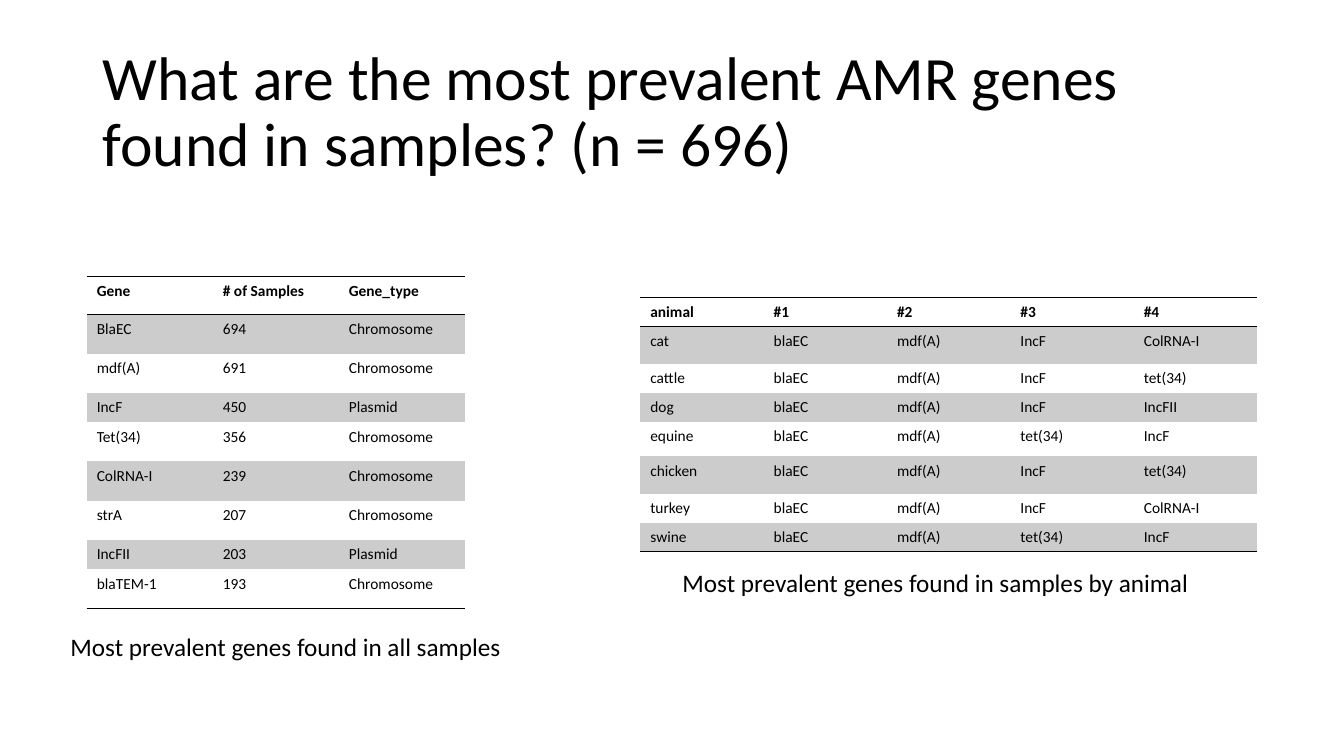
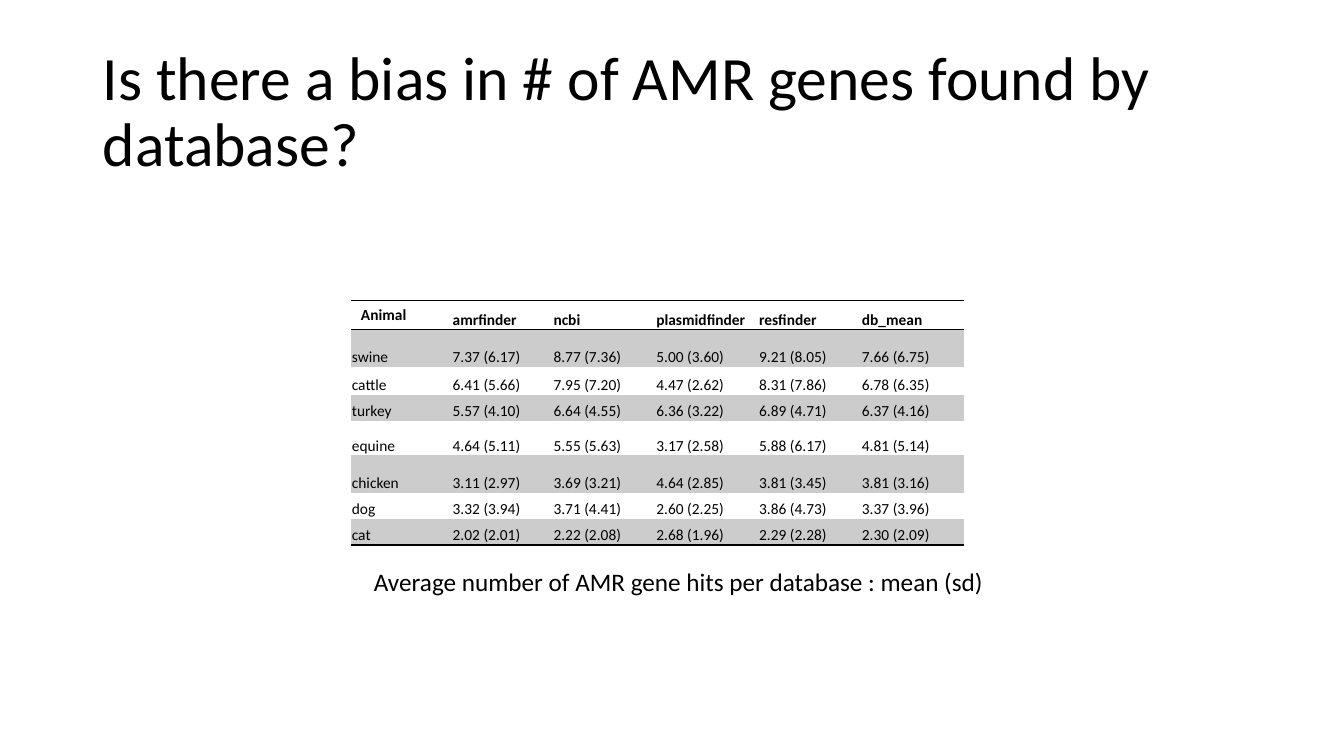
from lxml import etree
from pptx import Presentation, oxml
from pptx.dml import color
from pptx.enum import text
from pptx.util import Inches, Pt

# Shared look
FONT = "Calibri"
HUES = {"ink": "000000", "band": "CCCCCC"}
PLAIN = "{2D5ABB26-0587-4C30-8999-92F81FD0307C}"  # no style, no grid
TIGHT = {
    "margin_left": Inches(0.01),
    "margin_right": Inches(0.01),
    "margin_top": Inches(0.01),
    "margin_bottom": 0,
    "vertical_anchor": text.MSO_ANCHOR.BOTTOM,
}
LOW = [0.26, 0.37, 0.28, 0.26, 0.34, 0.37, 0.26, 0.26]

# Content: tables hold place, column widths, row heights and cells;
# captions hold text and place
PAGES = [
    {
        "title": "What are the most prevalent AMR genes found in samples? (n = 696)",
        "tables": [
            {
                "at": (0.86, 2.74),
                "cols": [1.25] * 3,
                "rows": [0.38, 0.39, 0.39, 0.28, 0.39, 0.39, 0.39, 0.28, 0.39],
                "tight": False,
                "cells": [
                    ["Gene", "# of Samples", "Gene_type"],
                    ["BlaEC", "694", "Chromosome"],
                    ["mdf(A)", "691", "Chromosome"],
                    ["IncF", "450", "Plasmid"],
                    ["Tet(34)", "356", "Chromosome"],
                    ["ColRNA-I", "239", "Chromosome"],
                    ["strA", "207", "Chromosome"],
                    ["IncFII", "203", "Plasmid"],
                    ["blaTEM-1", "193", "Chromosome"],
                ],
            },
            {
                "at": (6.35, 2.95),
                "cols": [1.224] * 5,
                "rows": LOW,
                "tight": False,
                "cells": [
                    ["animal", "#1", "#2", "#3", "#4"],
                    ["cat", "blaEC", "mdf(A)", "IncF", "ColRNA-I"],
                    ["cattle", "blaEC", "mdf(A)", "IncF", "tet(34)"],
                    ["dog", "blaEC", "mdf(A)", "IncF", "IncFII"],
                    ["equine", "blaEC", "mdf(A)", "tet(34)", "IncF"],
                    ["chicken", "blaEC", "mdf(A)", "IncF", "tet(34)"],
                    ["turkey", "blaEC", "mdf(A)", "IncF", "ColRNA-I"],
                    ["swine", "blaEC", "mdf(A)", "tet(34)", "IncF"],
                ],
            },
        ],
        "notes": [
            ("Most prevalent genes found in all samples", 0.6, 6.21, 4.52),
            ("Most prevalent genes found in samples by animal", 6.67, 5.58, 5.28),
        ],
    },
    {
        "title": "Is there a bias in # of AMR genes found by database?",
        "tables": [
            {
                "at": (3.48, 2.98),
                "cols": [1, 1] + [1.02] * 4,
                "rows": LOW,
                "tight": True,
                "cells": [
                    ["Animal", "amrfinder", "ncbi", "plasmidfinder", "resfinder", "db_mean"],
                    ["swine", "7.37 (6.17)", "8.77 (7.36)", "5.00 (3.60)", "9.21 (8.05)", "7.66 (6.75)"],
                    ["cattle", "6.41 (5.66)", "7.95 (7.20)", "4.47 (2.62)", "8.31 (7.86)", "6.78 (6.35)"],
                    ["turkey", "5.57 (4.10)", "6.64 (4.55)", "6.36 (3.22)", "6.89 (4.71)", "6.37 (4.16)"],
                    ["equine", "4.64 (5.11)", "5.55 (5.63)", "3.17 (2.58)", "5.88 (6.17)", "4.81 (5.14)"],
                    ["chicken", "3.11 (2.97)", "3.69 (3.21)", "4.64 (2.85)", "3.81 (3.45)", "3.81 (3.16)"],
                    ["dog", "3.32 (3.94)", "3.71 (4.41)", "2.60 (2.25)", "3.86 (4.73)", "3.37 (3.96)"],
                    ["cat", "2.02 (2.01)", "2.22 (2.08)", "2.68 (1.96)", "2.29 (2.28)", "2.30 (2.09)"],
                ],
            },
        ],
        "notes": [
            ("Average number of AMR gene hits per database : mean (sd)", 3.61, 5.57, 6.32),
        ],
    },
]


def write(frame, words, size, bold=False):
    frame.text = words
    para = frame.paragraphs[0]
    look = {"name": FONT, "size": Pt(size), "bold": bold}
    for key, value in look.items():
        setattr(para.runs[0].font, key, value)
    para.runs[0].font.color.rgb = color.RGBColor.from_string(HUES["ink"])
    return para


def rule(cell, side):
    qn = oxml.ns.qn
    line = etree.SubElement(cell._tc.get_or_add_tcPr(), qn("a:ln" + side), w=str(Pt(1)))
    fill = etree.SubElement(line, qn("a:solidFill"))
    etree.SubElement(fill, qn("a:srgbClr"), val=HUES["ink"])


deck = Presentation()
deck.slide_width, deck.slide_height = Inches(13.33), Inches(7.5)

# Title place, shared through the layout
base = deck.slide_layouts[5]
spot = {"left": 0.92, "top": 0.4, "width": 11.5, "height": 1.45}
for key, value in spot.items():
    setattr(base.placeholders[0], key, Inches(value))

for page in PAGES:
    slide = deck.slides.add_slide(base)

    # Title
    frame = slide.shapes.title.text_frame
    para = write(frame, page["title"], 44)
    para.alignment, para.line_spacing = text.PP_ALIGN.LEFT, 0.9
    frame.vertical_anchor = text.MSO_ANCHOR.MIDDLE
    frame.auto_size = text.MSO_AUTO_SIZE.NONE

    # Tables
    for data in page["tables"]:
        cols, rows = data["cols"], data["rows"]
        place = [Inches(n) for n in (*data["at"], sum(cols), sum(rows))]
        graph = slide.shapes.add_table(len(rows), len(cols), *place)
        for style in graph.element.iter(oxml.ns.qn("a:tableStyleId")):
            style.text = PLAIN
        grid = graph.table
        for col, width in zip(grid.columns, cols):
            col.width = Inches(width)
        for row, height in zip(grid.rows, rows):
            row.height = Inches(height)
        for r, line in enumerate(data["cells"]):
            for c, words in enumerate(line):
                cell = grid.cell(r, c)
                write(cell.text_frame, words, 11, bold=r == 0)
                if data["tight"] and (r, c) != (0, 0):
                    for key, value in TIGHT.items():
                        setattr(cell, key, value)
                if r == 0:
                    rule(cell, "T")
                if r in (0, len(rows) - 1):
                    rule(cell, "B")
                if r % 2:
                    cell.fill.solid()
                    cell.fill.fore_color.rgb = color.RGBColor.from_string(HUES["band"])
                else:
                    cell.fill.background()

    # Captions
    for words, left, top, width in page["notes"]:
        box = slide.shapes.add_textbox(Inches(left), Inches(top), Inches(width), Inches(0.4))
        write(box.text_frame, words, 18)
        box.text_frame.word_wrap = False
        box.text_frame.auto_size = text.MSO_AUTO_SIZE.SHAPE_TO_FIT_TEXT

deck.save("out.pptx")
